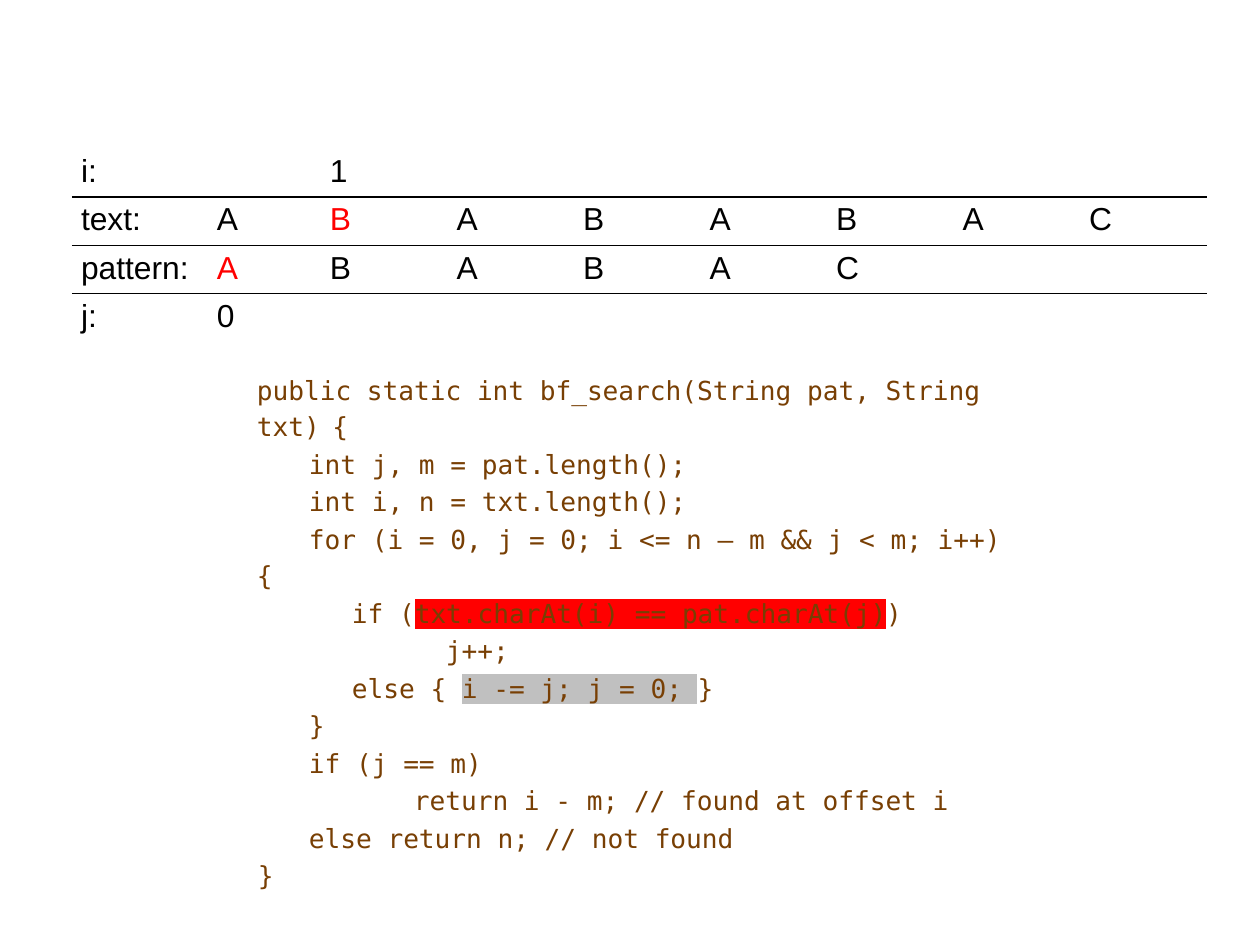
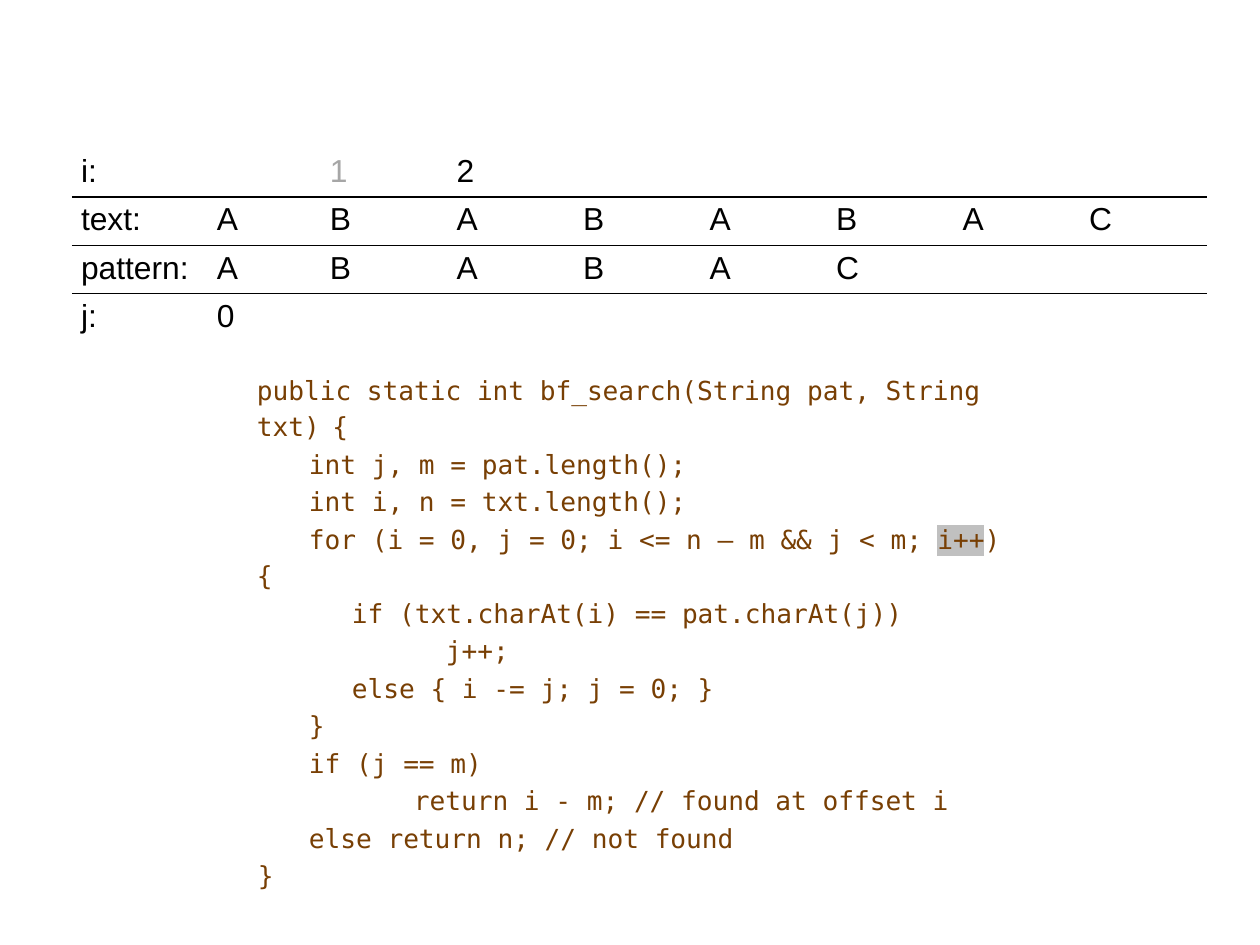
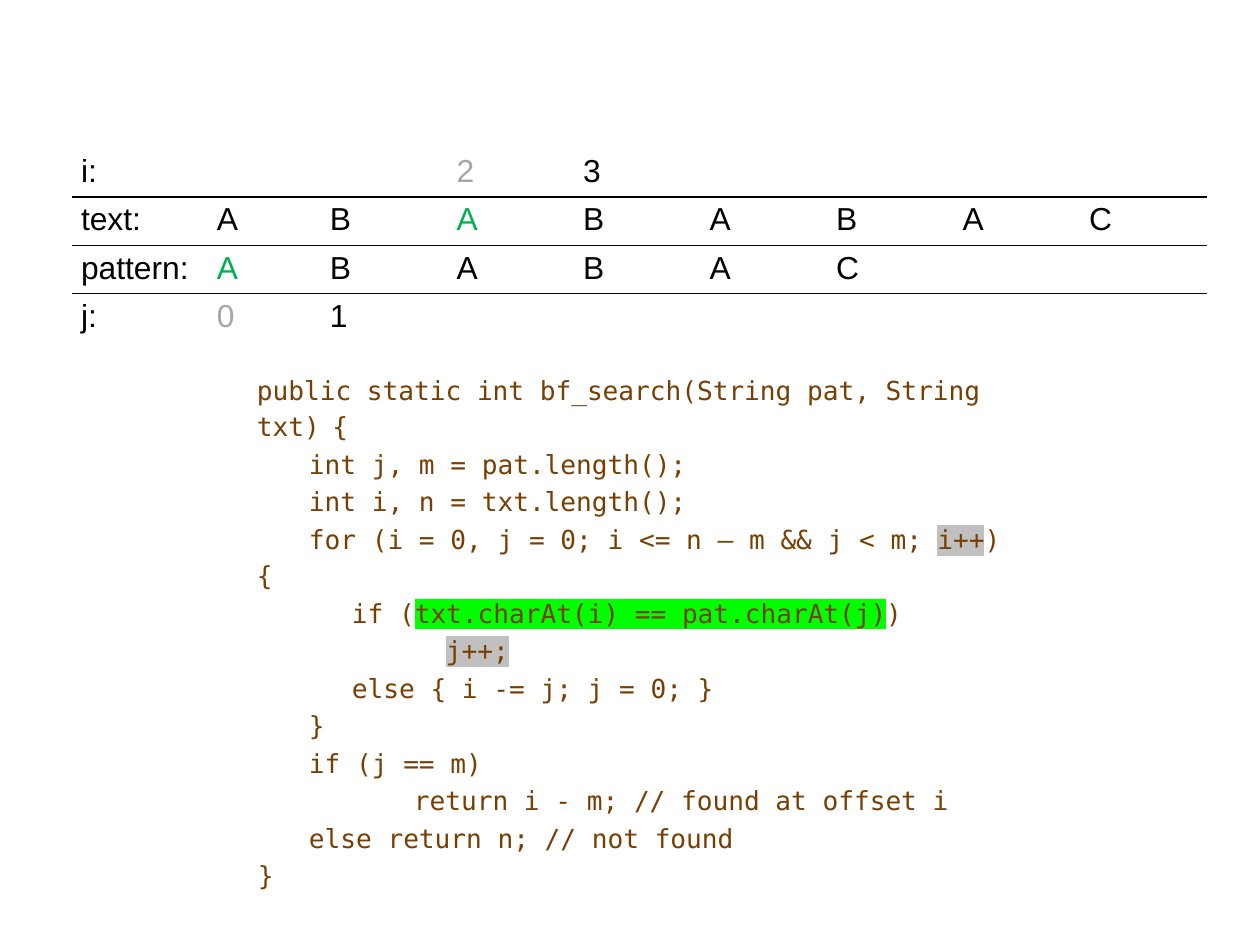
from dataclasses import dataclass, field

from lxml import etree
from pptx import Presentation
from pptx.dml.color import RGBColor
from pptx.enum.text import MSO_ANCHOR, PP_ALIGN
from pptx.oxml.ns import qn
from pptx.util import Pt

TOP = MSO_ANCHOR.TOP
LEFT = PP_ALIGN.LEFT

EMU_PER_PX = 8000
SLIDE_WIDTH, SLIDE_HEIGHT = 1260, 945
BLANK_LAYOUT = 6

COLORS = {
    "ink": "000000",
    "past": "A6A6A6",
    "mismatch": "FF0000",
    "match": "00B050",
    "code": "783F04",
    "failed test": "FF0000",
    "passed test": "00FF00",
    "executed": "C0C0C0",
}

TEXT = "ABABABAC"
PATTERN = "ABABAC"
ROW_LABELS = ("i:", "text:", "pattern:", "j:")
I_ROW, TEXT_ROW, PATTERN_ROW, J_ROW = range(4)

TABLE_LEFT, TABLE_TOP, TABLE_WIDTH, TABLE_HEIGHT = 72, 149, 1135, 190
LABEL_WIDTH, FIRST_LETTER_WIDTH = 136, 113
CELL_MARGINS = {"margin_left": 9, "margin_right": 9, "margin_top": 5, "margin_bottom": 5}
RULE_WIDTH = Pt(1)

CODE_LEFT, CODE_TOP, CODE_WIDTH, CODE_HEIGHT = 247, 360, 785, 467
CODE_MARGINS = {"margin_left": 10, "margin_right": 10, "margin_top": 10, "margin_bottom": 10}

CELL_FONT = {"name": "Arial", "size": Pt(20)}
CODE_FONT = {"name": "DejaVu Sans Mono", "size": Pt(16.5)}
BRACE_GAP_FONT = {**CODE_FONT, "size": Pt(13.2)}

COMPARISON = "txt.charAt(i) == pat.charAt(j)"
ADVANCE_I = "i++"
ADVANCE_J = "j++;"
RESET = "i -= j; j = 0; "


@dataclass(frozen=True)
class CodeLine:
    indent: int
    text: str


CODE = (
    CodeLine(0, "public static int bf_search(String pat, String txt) {"),
    CodeLine(52, "int j, m = pat.length();"),
    CodeLine(52, "int i, n = txt.length();"),
    CodeLine(52, "for (i = 0, j = 0; i <= n – m && j < m; i++) {"),
    CodeLine(95, f"if ({COMPARISON})"),
    CodeLine(189, ADVANCE_J),
    CodeLine(95, f"else {{ {RESET}}}"),
    CodeLine(52, "}"),
    CodeLine(52, "if (j == m)"),
    CodeLine(157, "return i - m; // found at offset i"),
    CodeLine(52, "else return n; // not found"),
    CodeLine(1, "}"),
)


@dataclass(frozen=True)
class SearchStep:
    """Counter values map to a color; each value stands in the column it points at."""

    i_values: dict[int, str]
    j_values: dict[int, str]
    letter_colors: dict[tuple[int, int], str] = field(default_factory=dict)
    highlights: dict[str, str] = field(default_factory=dict)


STEPS = (
    SearchStep(
        {1: "ink"},
        {0: "ink"},
        {(TEXT_ROW, 1): "mismatch", (PATTERN_ROW, 0): "mismatch"},
        {COMPARISON: "failed test", RESET: "executed"},
    ),
    SearchStep({1: "past", 2: "ink"}, {0: "ink"}, highlights={ADVANCE_I: "executed"}),
    SearchStep(
        {2: "past", 3: "ink"},
        {0: "past", 1: "ink"},
        {(TEXT_ROW, 2): "match", (PATTERN_ROW, 0): "match"},
        {ADVANCE_I: "executed", COMPARISON: "passed test", ADVANCE_J: "executed"},
    ),
)


def px(length: int) -> int:
    return length * EMU_PER_PX


def apply_format(target, formats: dict) -> None:
    for attribute, value in formats.items():
        setattr(target, attribute, value)


def set_margins(target, margins: dict[str, int]) -> None:
    apply_format(target, {side: px(length) for side, length in margins.items()})


def add_run(paragraph, text: str, font: dict, color: str, highlight: str | None = None) -> None:
    run = paragraph.add_run()
    run.text = text
    apply_format(run.font, font)
    run.font.color.rgb = RGBColor.from_string(COLORS[color])
    if highlight:
        marker = etree.Element(qn("a:highlight"))
        etree.SubElement(marker, qn("a:srgbClr"), val=COLORS[highlight])
        run.font._element.find(qn("a:solidFill")).addnext(marker)


def set_borders(cell, ruled_sides: set[str]) -> None:
    """Rule the given sides and clear the others."""
    properties = cell._tc.get_or_add_tcPr()
    for side in ("lnL", "lnR", "lnT", "lnB"):
        border = etree.SubElement(properties, qn(f"a:{side}"), w=str(RULE_WIDTH))
        if side in ruled_sides:
            fill = etree.SubElement(border, qn("a:solidFill"))
            etree.SubElement(fill, qn("a:srgbClr"), val=COLORS["ink"])
        else:
            etree.SubElement(border, qn("a:noFill"))


def cell_contents(step: SearchStep) -> dict[tuple[int, int], tuple[str, str]]:
    """Map (row, column) to the text and color shown there."""
    contents = {(row, 0): (label, "ink") for row, label in enumerate(ROW_LABELS)}
    for row, letters in ((TEXT_ROW, TEXT), (PATTERN_ROW, PATTERN)):
        for position, letter in enumerate(letters):
            color = step.letter_colors.get((row, position), "ink")
            contents[row, position + 1] = (letter, color)
    for row, values in ((I_ROW, step.i_values), (J_ROW, step.j_values)):
        for value, color in values.items():
            contents[row, value + 1] = (str(value), color)
    return contents


def add_trace_table(slide, step: SearchStep) -> None:
    row_count, column_count = len(ROW_LABELS), len(TEXT) + 1
    table = slide.shapes.add_table(
        row_count, column_count,
        px(TABLE_LEFT), px(TABLE_TOP), px(TABLE_WIDTH), px(TABLE_HEIGHT),
    ).table
    apply_format(table, {"first_row": False, "horz_banding": False})
    other_width = px(TABLE_WIDTH - LABEL_WIDTH - FIRST_LETTER_WIDTH) // (column_count - 2)
    widths = [px(LABEL_WIDTH), px(FIRST_LETTER_WIDTH)] + [other_width] * (column_count - 2)
    for column, width in zip(table.columns, widths):
        column.width = width
    for row in table.rows:
        row.height = px(TABLE_HEIGHT) // row_count

    contents = cell_contents(step)
    for row in range(row_count):
        ruled_sides = {"lnT"} if row > 0 else set()
        if row < row_count - 1:
            ruled_sides.add("lnB")
        for column in range(column_count):
            cell = table.cell(row, column)
            set_margins(cell, CELL_MARGINS)
            cell.vertical_anchor = TOP
            set_borders(cell, ruled_sides)
            cell.fill.background()
            if (row, column) in contents:
                text, color = contents[row, column]
                add_run(cell.text_frame.paragraphs[0], text, CELL_FONT, color)


def add_code_runs(paragraph, text: str, highlights: dict[str, str]) -> None:
    """Write a code line, marking the highlighted part and narrowing a gap before a final brace."""
    opens_block = text.endswith(" {")
    statement = text.removesuffix(" {")
    marked = next((part for part in highlights if part in statement), "")
    before, _, after = statement.partition(marked) if marked else (statement, "", "")
    for part, highlight in ((before, None), (marked, highlights.get(marked)), (after, None)):
        if part:
            add_run(paragraph, part, CODE_FONT, "code", highlight)
    if opens_block:
        add_run(paragraph, " ", BRACE_GAP_FONT, "code")
        add_run(paragraph, "{", CODE_FONT, "code")


def add_code(slide, highlights: dict[str, str]) -> None:
    frame = slide.shapes.add_textbox(
        px(CODE_LEFT), px(CODE_TOP), px(CODE_WIDTH), px(CODE_HEIGHT)
    ).text_frame
    apply_format(frame, {"word_wrap": True, "vertical_anchor": TOP})
    set_margins(frame, CODE_MARGINS)
    for number, line in enumerate(CODE):
        paragraph = frame.add_paragraph() if number else frame.paragraphs[0]
        apply_format(paragraph, {"alignment": LEFT, "line_spacing": 1.15})
        if number:
            paragraph.space_before = Pt(0.9)
        apply_format_xml = paragraph._p.get_or_add_pPr()
        apply_format_xml.set("marL", "0")
        apply_format_xml.set("indent", str(px(line.indent)))
        add_code_runs(paragraph, line.text, highlights)


def main() -> None:
    presentation = Presentation()
    presentation.slide_width = px(SLIDE_WIDTH)
    presentation.slide_height = px(SLIDE_HEIGHT)
    for step in STEPS:
        slide = presentation.slides.add_slide(presentation.slide_layouts[BLANK_LAYOUT])
        add_code(slide, step.highlights)
        add_trace_table(slide, step)
    presentation.save("out.pptx")


if __name__ == "__main__":
    main()
